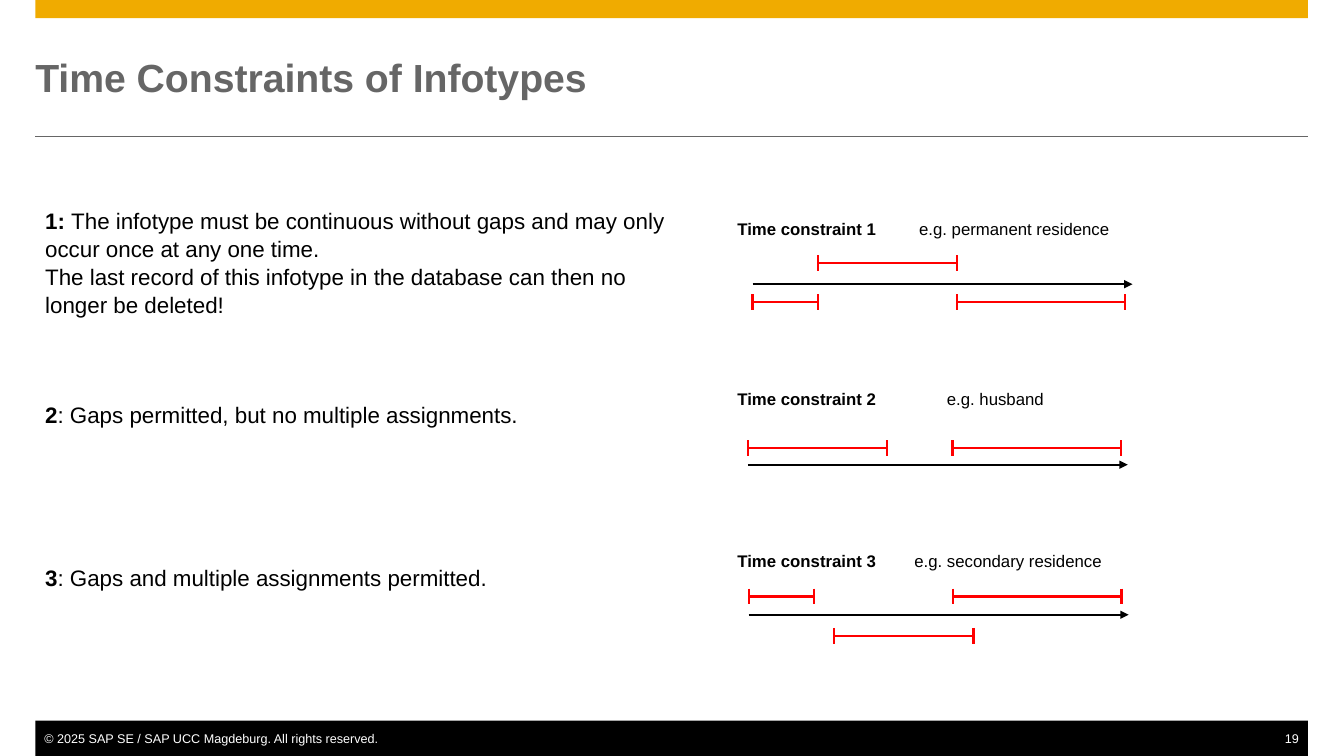
from lxml.etree import SubElement
from pptx import Presentation
from pptx.dml.color import RGBColor
from pptx.enum.shapes import MSO_CONNECTOR as CONN, MSO_SHAPE as SHAPE
from pptx.enum.text import MSO_ANCHOR as ANCHOR, PP_ALIGN as ALIGN
from pptx.oxml.ns import qn
from pptx.util import Cm, Pt

COLORS = {"gold": "F0AB00", "gray": "666666", "black": "000000",
          "white": "FFFFFF", "red": "FF0000"}

TITLE = "Time Constraints of Infotypes"
COPYRIGHT = "© 2025 SAP SE / SAP UCC Magdeburg. All rights reserved."
PAGE = "19"

# (bold lead, text, empty lines above)
RULES = [
    ("1: ", "The infotype must be continuous without gaps and may only "
            "occur once at any one time.", 0),
    ("", "The last record of this infotype in the database can then no "
         "longer be deleted!", 0),
    ("2", ": Gaps permitted, but no multiple assignments.", 3),
    ("3", ": Gaps and multiple assignments permitted.", 5),
]

# Spans are (start, length, offset from the axis), in cm along the axis
SHORT, MEDIUM, LONG = 1.65, 3.51, 4.24
TIMELINES = [
    {"label": "Time constraint 1", "example": "e.g. permanent residence",
     "tab": 4.58, "label_y": 5.51, "axis": (18.97, 7.16),
     "spans": [(1.65, MEDIUM, -0.53), (0, SHORT, 0.46), (5.16, LONG, 0.46)]},
    {"label": "Time constraint 2", "example": "e.g. husband",
     "tab": 5.28, "label_y": 9.8, "axis": (18.85, 11.71),
     "spans": [(0, MEDIUM, -0.42), (5.16, LONG, -0.42)]},
    {"label": "Time constraint 3", "example": "e.g. secondary residence",
     "tab": 4.46, "label_y": 13.87, "axis": (18.87, 15.49),
     "spans": [(2.16, MEDIUM, 0.53), (0, SHORT, -0.46), (5.16, LONG, -0.46)]},
]

LEFT, WIDTH = 0.89, 32.08
LABEL_X, AXIS_LENGTH, CAP = 18.59, 9.58, 0.2
LINE_PT = 19.3


def rgb(name):
    return RGBColor.from_string(COLORS[name])


def add_bar(shapes, y, h, color):
    sp = shapes.add_shape(SHAPE.RECTANGLE, Cm(LEFT), Cm(y), Cm(WIDTH), Cm(h))
    sp.shadow.inherit = False
    sp.fill.solid()
    sp.fill.fore_color.rgb = rgb(color)
    sp.line.fill.background()


def add_line(shapes, x1, y1, x2, y2, color, width=1.5, arrow=False):
    ln = shapes.add_connector(CONN.STRAIGHT, Cm(x1), Cm(y1), Cm(x2), Cm(y2))
    ln.line.color.rgb = rgb(color)
    ln.line.width = Pt(width)
    if arrow:
        SubElement(ln.line._get_or_add_ln(), qn("a:tailEnd"), type="triangle")
    SubElement(ln._element.spPr, qn("a:effectLst"))


def add_span(shapes, x, y, length):
    """Draw one validity period: a bar with a cap at each end."""
    group = shapes.add_group_shape().shapes
    add_line(group, x, y, x + length, y, "red")
    for end in (x, x + length):
        add_line(group, end, y - CAP, end, y + CAP, "red")


def add_box(shapes, x, y, w, h, margins=(0, 0, 0, 0), anchor=ANCHOR.TOP):
    tf = shapes.add_textbox(Cm(x), Cm(y), Cm(w), Cm(h)).text_frame
    tf.word_wrap = True
    tf.vertical_anchor = anchor
    tf.margin_left, tf.margin_top, tf.margin_right, tf.margin_bottom = map(Cm, margins)
    return tf


def fill_paragraph(p, size, color, runs, bold=None):
    """Write (text, bold) runs in one font."""
    p.font.name, p.font.size, p.font.bold = "Arial", Pt(size), bold
    p.font.color.rgb = rgb(color)
    for text, run_bold in runs:
        r = p.add_run()
        r.text = text
        r.font.bold = run_bold


def add_frame(shapes):
    add_bar(shapes, 0, 0.46, "gold")
    add_line(shapes, LEFT, 3.43, LEFT + WIDTH, 3.43, "gray", 0.5)
    add_bar(shapes, 18.16, 0.89, "black")
    tf = add_box(shapes, LEFT, 18.42, 12, 0.38, (0.23, 0, 0, 0))
    fill_paragraph(tf.paragraphs[0], 9, "white", [(COPYRIGHT, None)])
    tf = add_box(shapes, LEFT + WIDTH - 2, 18.42, 2, 0.38, (0, 0, 0.23, 0))
    tf.paragraphs[0].alignment = ALIGN.RIGHT
    fill_paragraph(tf.paragraphs[0], 9, "white", [(PAGE, None)])
    tf = add_box(shapes, LEFT, 0.89, WIDTH, 2.11, anchor=ANCHOR.MIDDLE)
    fill_paragraph(tf.paragraphs[0], 28, "gray", [(TITLE, None)], bold=True)


def add_rules(shapes):
    tf = add_box(shapes, LEFT, 5.05, 16.13, 10.2, (0.25, 0.13, 0.25, 0.13))
    for i, (lead, text, gap) in enumerate(RULES):
        p = tf.add_paragraph() if i else tf.paragraphs[0]
        p.line_spacing = 1.05
        p.space_before = Pt(gap * LINE_PT)
        runs = [(lead, True)] if lead else []
        fill_paragraph(p, 16, "black", runs + [(text, False)])


def add_timeline(shapes, item):
    p = add_box(shapes, LABEL_X, item["label_y"], 9.4, 0.51).paragraphs[0]
    tabs = SubElement(p._p.get_or_add_pPr(), qn("a:tabLst"))
    SubElement(tabs, qn("a:tab"), pos=str(Cm(item["tab"])), algn="l")
    fill_paragraph(p, 12, "black",
                   [(item["label"] + "\t", True), (item["example"], False)])
    x, y = item["axis"]
    add_line(shapes, x, y, x + AXIS_LENGTH, y, "black", arrow=True)
    for start, length, offset in item["spans"]:
        add_span(shapes, x + start, y + offset, length)


def main():
    prs = Presentation()
    prs.slide_width, prs.slide_height = Cm(33.88), Cm(19.05)
    shapes = prs.slides.add_slide(prs.slide_layouts[6]).shapes
    add_frame(shapes)
    add_rules(shapes)
    for item in TIMELINES:
        add_timeline(shapes, item)
    prs.save("out.pptx")


if __name__ == "__main__":
    main()
